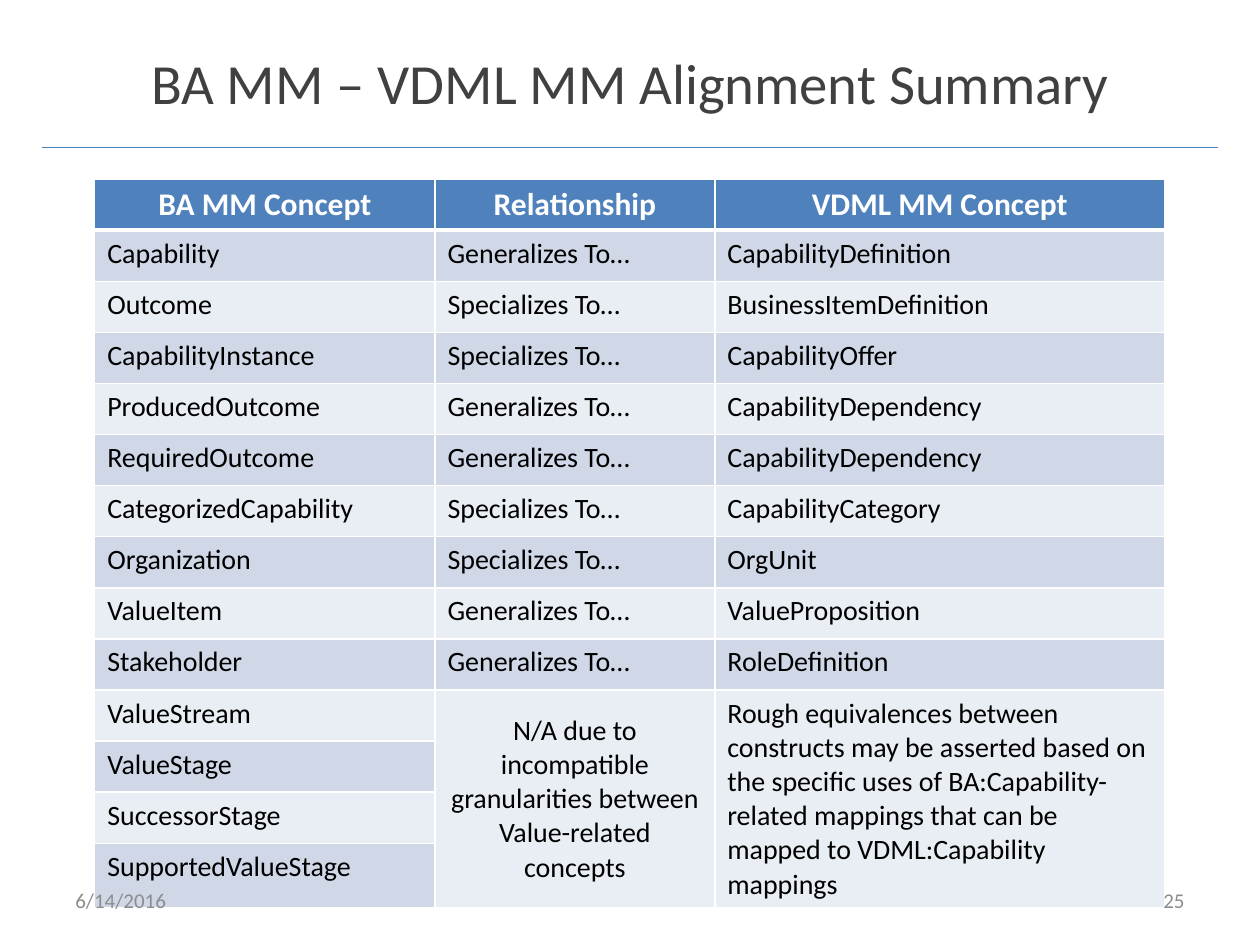
from lxml.etree import SubElement
from pptx import Presentation
from pptx.dml.color import RGBColor
from pptx.enum.shapes import MSO_CONNECTOR as Connector
from pptx.enum.text import MSO_ANCHOR as Anchor, MSO_AUTO_SIZE as AutoSize, PP_ALIGN as Align
from pptx.oxml.ns import qn
from pptx.util import Cm, Pt

FONT = "Calibri"
WHITE = RGBColor(0xFF, 0xFF, 0xFF)
BLACK = RGBColor(0x00, 0x00, 0x00)
TITLE_GREY = RGBColor(0x40, 0x40, 0x40)
FOOTER_GREY = RGBColor(0x8C, 0x8C, 0x8C)
RULE_BLUE = RGBColor(0x4B, 0x7E, 0xBC)
HEADER_BLUE = RGBColor(0x4F, 0x81, 0xBD)
BANDS = (RGBColor(0xD0, 0xD8, 0xE8), RGBColor(0xE9, 0xED, 0xF4))

HEADERS = ("BA MM Concept", "Relationship", "VDML MM Concept")
GENERALIZES = "Generalizes To…"
SPECIALIZES = "Specializes To…"
MAPPINGS = [
    ("Capability", GENERALIZES, "CapabilityDefinition"),
    ("Outcome", SPECIALIZES, "BusinessItemDefinition"),
    ("CapabilityInstance", SPECIALIZES, "CapabilityOffer"),
    ("ProducedOutcome", GENERALIZES, "CapabilityDependency"),
    ("RequiredOutcome", GENERALIZES, "CapabilityDependency"),
    ("CategorizedCapability", SPECIALIZES, "CapabilityCategory"),
    ("Organization", SPECIALIZES, "OrgUnit"),
    ("ValueItem", GENERALIZES, "ValueProposition"),
    ("Stakeholder", GENERALIZES, "RoleDefinition"),
]
VALUE_CONCEPTS = ("ValueStream", "ValueStage", "SuccessorStage", "SupportedValueStage")
VALUE_RELATIONSHIP = ("N/A due to incompatible granularities between "
                      "Value-related concepts")
VALUE_EQUIVALENCE = ("Rough equivalences between constructs may be asserted based on "
                     "the specific uses of BA:Capability-related mappings that can be "
                     "mapped to VDML:Capability mappings")
COLUMN_WIDTHS = (6.86, 5.64, 9.07)
ROW_HEIGHT = 1.03


def write(text_frame, text, size, color, align=Align.LEFT, bold=False):
    text_frame.text = text
    paragraph = text_frame.paragraphs[0]
    paragraph.alignment = align
    font = paragraph.runs[0].font
    font.name, font.size, font.bold = FONT, Pt(size), bold
    font.color.rgb = color


def add_title(slide, text):
    title = slide.shapes.title
    title.left, title.top, title.width, title.height = Cm(1.27), Cm(0.76), Cm(22.86), Cm(1.78)
    title.text_frame.auto_size = AutoSize.NONE
    title.text_frame.vertical_anchor = Anchor.MIDDLE
    write(title.text_frame, text, 32.4, TITLE_GREY, Align.CENTER)


def add_rule(slide, left, right, y):
    rule = slide.shapes.add_connector(Connector.STRAIGHT, Cm(left), Cm(y), Cm(right), Cm(y))
    rule.line.color.rgb = RULE_BLUE
    rule.line.width = Pt(0.75)
    SubElement(rule._element.spPr, qn("a:effectLst"))


def add_footer(slide, text, left, align):
    box = slide.shapes.add_textbox(Cm(left), Cm(17.65), Cm(5.93), Cm(1.01))
    box.text_frame.word_wrap = True
    box.text_frame.vertical_anchor = Anchor.MIDDLE
    write(box.text_frame, text, 12, FOOTER_GREY, align)


def style_cell(cell, fill, top=1, bottom=1):
    """White borders (widths in points) and a solid fill."""
    properties = cell._tc.get_or_add_tcPr()
    for side, width in (("L", 1), ("R", 1), ("T", top), ("B", bottom)):
        border = SubElement(properties, qn(f"a:ln{side}"), w=str(Pt(width)))
        border_fill = SubElement(border, qn("a:solidFill"))
        SubElement(border_fill, qn("a:srgbClr"), val=str(WHITE))
    cell.fill.solid()
    cell.fill.fore_color.rgb = fill


def add_alignment_table(slide):
    first_value_row = len(MAPPINGS) + 1
    row_count = first_value_row + len(VALUE_CONCEPTS)
    frame = slide.shapes.add_table(row_count, len(HEADERS), Cm(1.91), Cm(3.61),
                                   Cm(sum(COLUMN_WIDTHS)), Cm(ROW_HEIGHT * row_count))
    table = frame.table
    for column, width in zip(table.columns, COLUMN_WIDTHS):
        column.width = Cm(width)
    for row in table.rows:
        row.height = Cm(ROW_HEIGHT)

    # Header row
    for column, text in enumerate(HEADERS):
        cell = table.cell(0, column)
        style_cell(cell, HEADER_BLUE, bottom=3)
        write(cell.text_frame, text, 18, WHITE, Align.CENTER, bold=True)

    # Banded rows; value-related concepts fill the first column only
    body = MAPPINGS + [(concept,) for concept in VALUE_CONCEPTS]
    for row, texts in enumerate(body, start=1):
        for column in range(len(HEADERS)):
            style_cell(table.cell(row, column), BANDS[(row - 1) % 2], top=3 if row == 1 else 1)
        for column, text in enumerate(texts):
            write(table.cell(row, column).text_frame, text, 16, BLACK)

    # Merged remarks beside the value-related concepts
    remarks = ((1, VALUE_RELATIONSHIP, Align.CENTER, Anchor.MIDDLE),
               (2, VALUE_EQUIVALENCE, Align.LEFT, Anchor.TOP))
    for column, text, align, anchor in remarks:
        cell = table.cell(first_value_row, column)
        cell.merge(table.cell(row_count - 1, column))
        cell.vertical_anchor = anchor
        write(cell.text_frame, text, 16, BLACK, align)


def main():
    presentation = Presentation()
    presentation.slide_width, presentation.slide_height = Cm(25.4), Cm(19.05)
    slide = presentation.slides.add_slide(presentation.slide_layouts[5])

    add_rule(slide, 0.85, 24.55, 2.97)
    add_title(slide, "BA MM – VDML MM Alignment Summary")
    add_alignment_table(slide)
    add_footer(slide, "6/14/2016", 1.27, Align.LEFT)
    add_footer(slide, "25", 18.2, Align.RIGHT)

    presentation.save("out.pptx")


if __name__ == "__main__":
    main()
